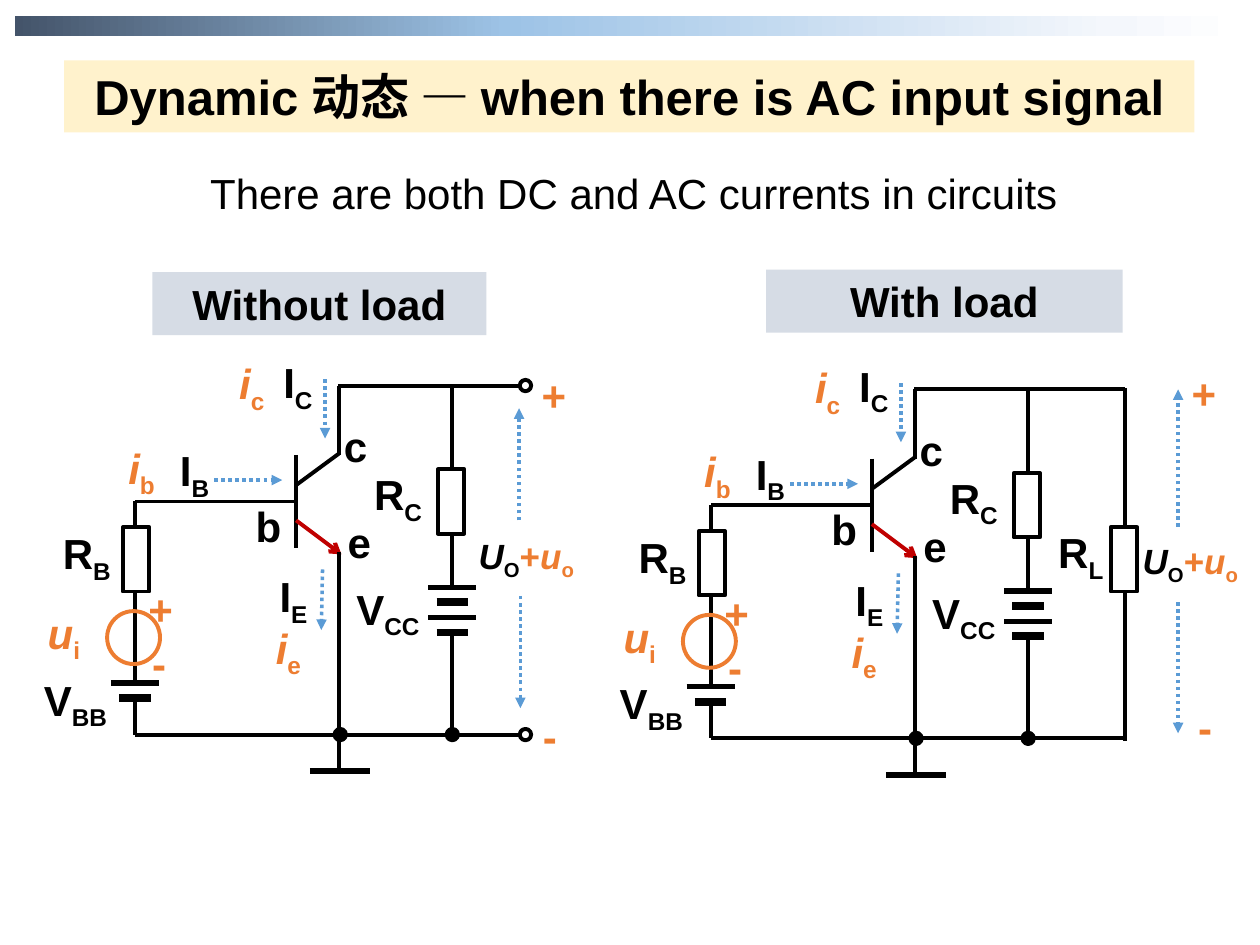
from copy import deepcopy
from pptx import Presentation, util as u
from pptx.dml.color import RGBColor
from pptx.enum import dml, shapes, text
from pptx.oxml.ns import qn
from lxml import etree

BLACK, WHITE, RED = "000000", "FFFFFF", "C00000"
BLUE, ORANGE = "5B9BD5", "ED7D31"
CREAM, GREY = "FFF2CC", "D6DCE5"
RECT, OVAL = shapes.MSO_SHAPE.RECTANGLE, shapes.MSO_SHAPE.OVAL


def tint(code):
    return RGBColor.from_string(code)


class Page:
    face = "Arial"
    wire = 2.25

    def __init__(self, slide):
        self.slide = slide
        self.top()

    def top(self):
        """Draw straight on the slide."""
        self.spot, self.dx, self.dy = self.slide.shapes, 0, 0

    def group(self, dx=0, dy=0):
        """Start a new group whose parts are shifted by dx, dy."""
        self.spot = self.slide.shapes.add_group_shape().shapes
        self.dx, self.dy = dx, dy

    def at(self, x, y):
        return u.Inches(x + self.dx), u.Inches(y + self.dy)

    def line(self, x1, y1, x2, y2, hue=BLACK, width=wire, dots=False, tip=None):
        rule = self.spot.add_connector(
            shapes.MSO_CONNECTOR.STRAIGHT, *self.at(x1, y1), *self.at(x2, y2))
        rule.line.color.rgb = tint(hue)
        rule.line.width = u.Pt(width)
        if dots:
            rule.line.dash_style = dml.MSO_LINE.ROUND_DOT
        props = rule._element.spPr
        if tip:
            etree.SubElement(props.find(qn("a:ln")), qn("a:tailEnd")).set("type", tip)
        etree.SubElement(props, qn("a:effectLst"))

    def flow(self, *ends):
        self.line(*ends, hue=BLUE, width=2, dots=True, tip="triangle")

    def shape(self, kind, x, y, w, h, fill=None, edge=None):
        item = self.spot.add_shape(kind, *self.at(x, y), u.Inches(w), u.Inches(h))
        item.shadow.inherit = False
        if fill:
            item.fill.solid()
            item.fill.fore_color.rgb = tint(fill)
        else:
            item.fill.background()
        if edge:
            item.line.color.rgb = tint(edge)
            item.line.width = u.Pt(self.wire)
        else:
            item.line.fill.background()
        return item

    def words(self, item, parts, size=24, bold=True, center=True):
        frame = item.text_frame
        frame.word_wrap = True
        frame.auto_size = text.MSO_AUTO_SIZE.NONE
        para = frame.paragraphs[0]
        para.alignment = text.PP_ALIGN.CENTER if center else text.PP_ALIGN.LEFT
        font = para.font
        font.name, font.size, font.bold = self.face, u.Pt(size), bold
        font.color.rgb = tint(BLACK)
        for part in parts:
            para.add_run().text = part
        return para

    def label(self, x, y, *parts, w=0.79, size=24):
        """Each part is (text, colour, italic); text after _ is a subscript."""
        box = self.spot.add_textbox(*self.at(x, y), u.Inches(w), u.Inches(0.55))
        para = self.words(box, [], size, center=False)
        for mark, hue, slant in parts:
            base, _, sub = mark.partition("_")
            run = para.add_run()
            run.text = base
            run.font.italic = slant
            run.font.color.rgb = tint(hue)
            if sub:
                run = para.add_run()
                run.text = sub
                run.font.color.rgb = tint(hue)
                run._r.get_or_add_rPr().set("baseline", "-25000")

    def dot(self, x, y, fill):
        self.shape(OVAL, x - 0.045, y - 0.045, 0.09, 0.09, fill, BLACK)

    def resist(self, x, y):
        self.shape(RECT, x - 0.105, y - 0.255, 0.21, 0.51, WHITE, BLACK)

    def cell(self, x, y):
        self.line(x - 0.19, y, x + 0.19, y, width=3)
        self.line(x - 0.125, y + 0.12, x + 0.125, y + 0.12, width=4.5)

    def bar(self, x, y, w, h, stops):
        item = self.shape(RECT, x, y, w, h)
        item.fill.gradient()
        item.fill.gradient_angle = 0
        track = item._element.spPr.find(".//" + qn("a:gsLst"))
        while len(track) < len(stops):
            track.append(deepcopy(track[0]))
        for stop, (place, hue) in zip(item.fill.gradient_stops, stops):
            stop.position = place
            stop.color.rgb = tint(hue)

    def title(self, x, y, w, h, parts, fill):
        item = self.slide.shapes.title
        item.left, item.top = u.Inches(x), u.Inches(y)
        item.width, item.height = u.Inches(w), u.Inches(h)
        item.fill.solid()
        item.fill.fore_color.rgb = tint(fill)
        item.text_frame.vertical_anchor = text.MSO_ANCHOR.MIDDLE
        return self.words(item, parts, size=28)


def stage(page, end):
    """Draw the amplifier; its rails run to x = end."""
    # Transistor
    page.line(2.35, 3.61, 2.35, 4.35)
    page.line(2.35, 3.85, 2.69, 3.6)
    page.line(2.35, 4.13, 2.71, 4.4, hue=RED, tip="arrow")
    # Rails, base, collector and emitter wires
    for ends in ((2.35, 3.98, 1.07, 3.98), (2.69, 3.61, 2.69, 3.06),
                 (2.69, 4.38, 2.69, 6.11), (1.07, 3.98, 1.07, 5.42),
                 (1.07, 5.55, 1.07, 5.83), (3.59, 3.05, 3.59, 4.66),
                 (3.59, 5, 3.59, 5.83), (end, 3.06, 2.68, 3.06),
                 (end, 5.83, 1.07, 5.83)):
        page.line(*ends)
    # Supplies, resistors, source and ground
    for x, y in ((1.07, 5.42), (3.59, 4.66), (3.59, 4.9)):
        page.cell(x, y)
    page.resist(1.08, 4.44)
    page.resist(3.58, 3.98)
    page.shape(OVAL, 0.85, 4.85, 0.42, 0.42, edge=ORANGE)
    page.line(2.46, 6.12, 2.94, 6.12, width=3)
    for x in (2.7, 3.59):
        page.dot(x, 5.83, BLACK)
    # Current arrows
    page.flow(1.7, 3.81, 2.24, 3.81)
    page.flow(2.58, 3.01, 2.58, 3.48)
    page.flow(2.56, 4.52, 2.55, 5)
    # Names of parts and DC currents
    for x, y, mark in ((2.73, 4.58, "V_CC"), (2.87, 3.67, "R_C"),
                       (0.25, 5.3, "V_BB"), (0.4, 4.14, "R_B"),
                       (2.15, 2.78, "I_C"), (2.12, 4.48, "I_E"),
                       (1.33, 3.48, "I_B"), (2.66, 4.05, "e"),
                       (2.63, 3.29, "c"), (1.93, 3.92, "b")):
        page.label(x, y, (mark, BLACK, False))
    # AC signals
    for x, y, mark in ((0.28, 4.77, "u_i"), (0.92, 3.46, "i_b"),
                       (1.8, 2.79, "i_c"), (2.09, 4.89, "i_e")):
        page.label(x, y, (mark, ORANGE, True))
    signs(page, (1.08, 4.58), (1.11, 5.01))


def signs(page, plus, minus):
    page.label(*plus, ("+", ORANGE, False), w=0.64)
    page.label(*minus, ("-", ORANGE, False), w=0.41)


def output(page, x, y):
    page.label(x, y, ("U_O", BLACK, True), ("+", ORANGE, False),
               ("u_o", ORANGE, True), w=1.17, size=20)


def main():
    deck = Presentation()
    deck.slide_width, deck.slide_height = u.Inches(10), u.Inches(7.5)
    page = Page(deck.slides.add_slide(deck.slide_layouts[5]))

    # Heading
    page.bar(0.12, 0.13, 9.76, 0.16, ((0, "44546A"), (0.4, "9DC3E6"),
                                      (0.89, "F4F7FC"), (1, WHITE)))
    para = page.title(0.51, 0.48, 8.97, 0.57, (
        "Dynamic ", "动态 ", "— when there is AC input signal"), CREAM)
    props = para.runs[1]._r.get_or_add_rPr()
    etree.SubElement(props, qn("a:ea")).set("typeface", "Noto Sans CJK SC")
    lead = page.shape(RECT, 1.19, 1.28, 7.68, 0.5)
    page.words(lead, ["There are both DC and AC currents in circuits"], bold=False)
    for x, y, w, name in ((1.21, 2.16, 2.65, "Without load"),
                          (6.08, 2.14, 2.83, "With load")):
        page.words(page.shape(RECT, x, y, w, 0.5, GREY), [name])

    # Circuit without load
    page.group()
    stage(page, 4.15)
    for y in (3.06, 5.83):
        page.dot(4.17, y, WHITE)
    page.flow(4.13, 4.73, 4.13, 5.62)
    page.flow(4.12, 4.13, 4.12, 3.24)
    signs(page, (4.2, 2.88), (4.21, 5.59))
    output(page, 3.7, 4.19)

    # Circuit with load
    page.group(4.57, 0.03)
    stage(page, 4.36)
    page.top()
    page.line(8.93, 3.08, 8.93, 5.88)
    page.resist(8.92, 4.44)
    page.label(8.3, 4.13, ("R_L", BLACK, False))
    page.flow(9.35, 4.78, 9.35, 5.82)
    page.flow(9.35, 4.18, 9.35, 3.09)
    signs(page, (9.36, 2.87), (9.41, 5.52))
    output(page, 8.97, 4.23)

    deck.save("out.pptx")


if __name__ == "__main__":
    main()
